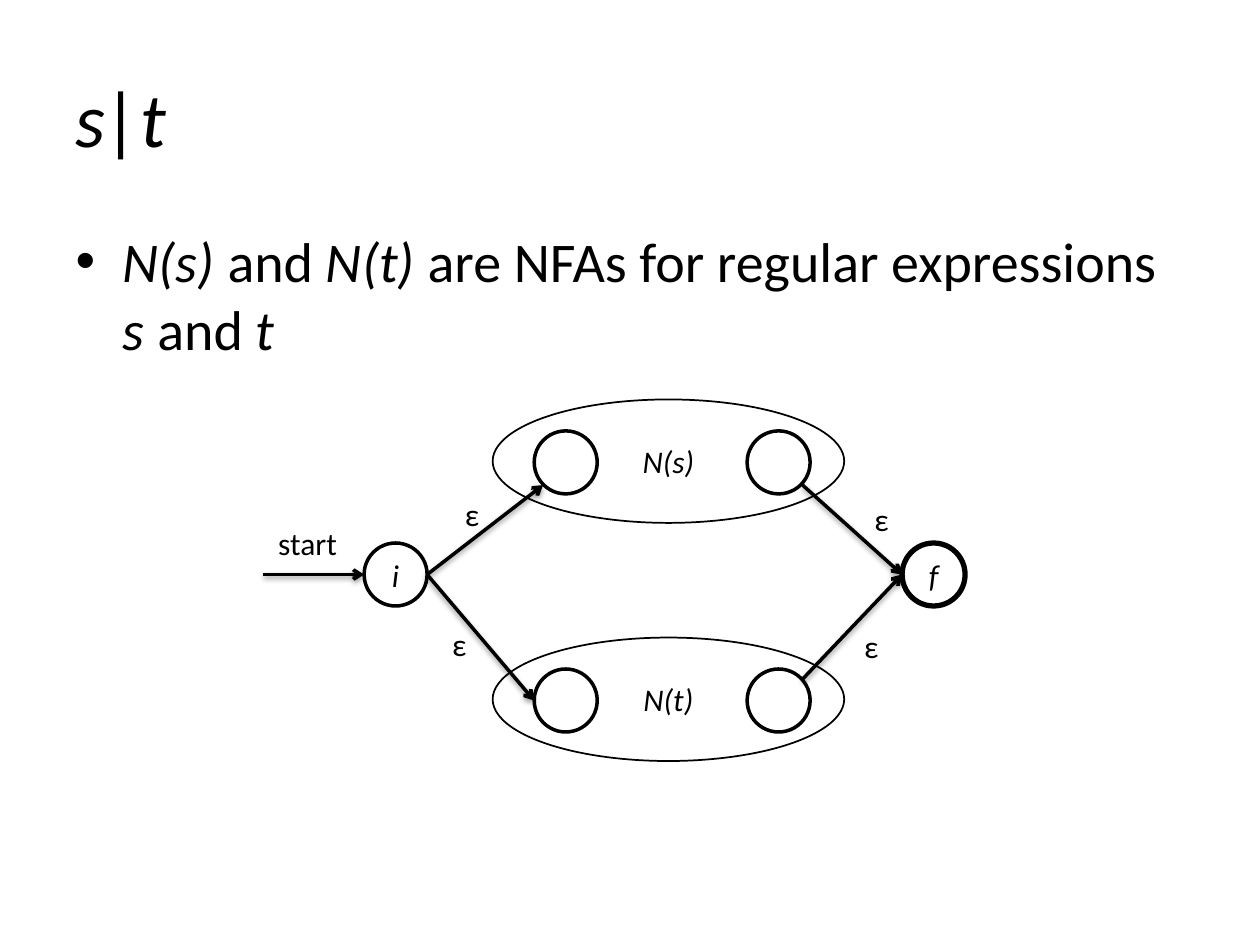
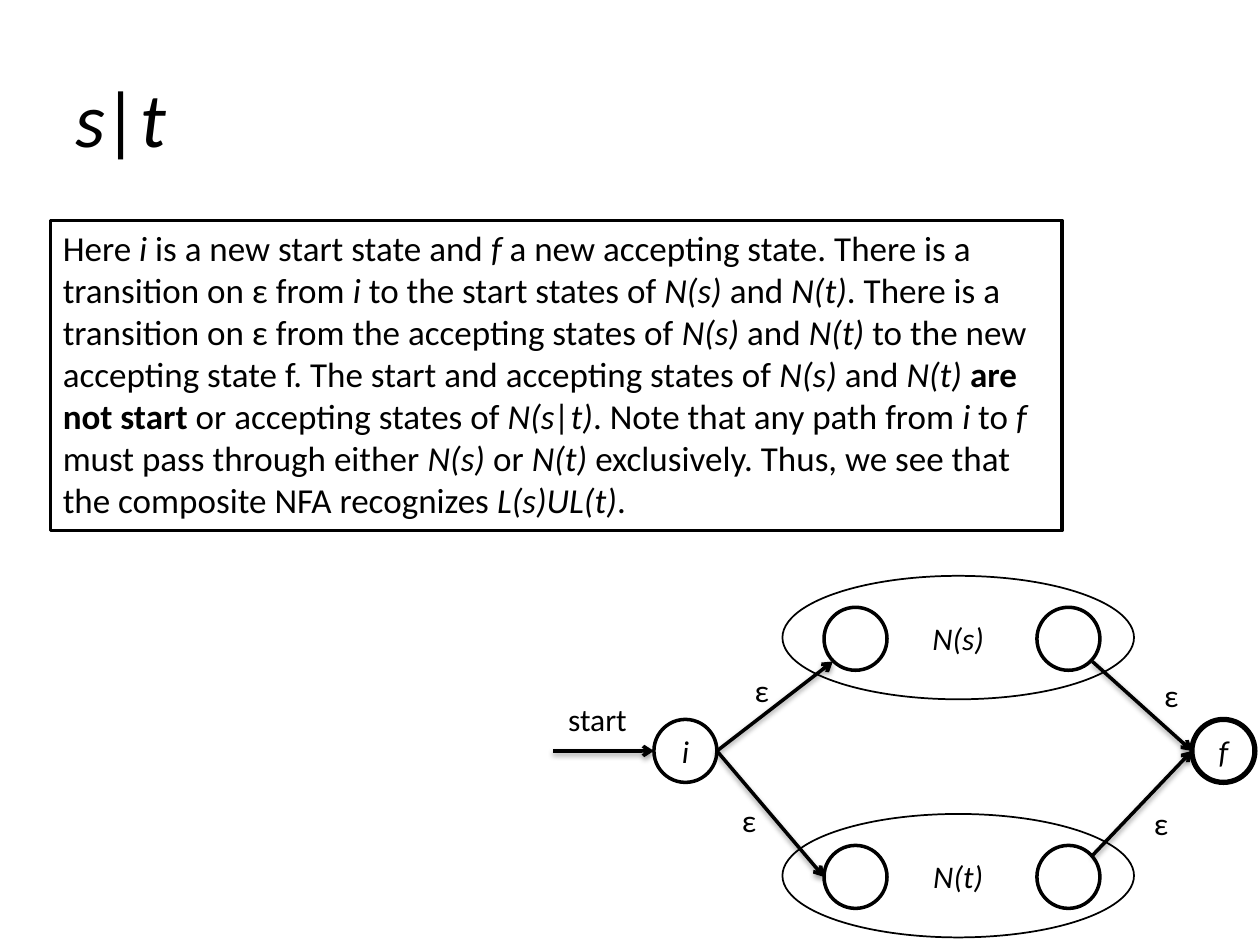
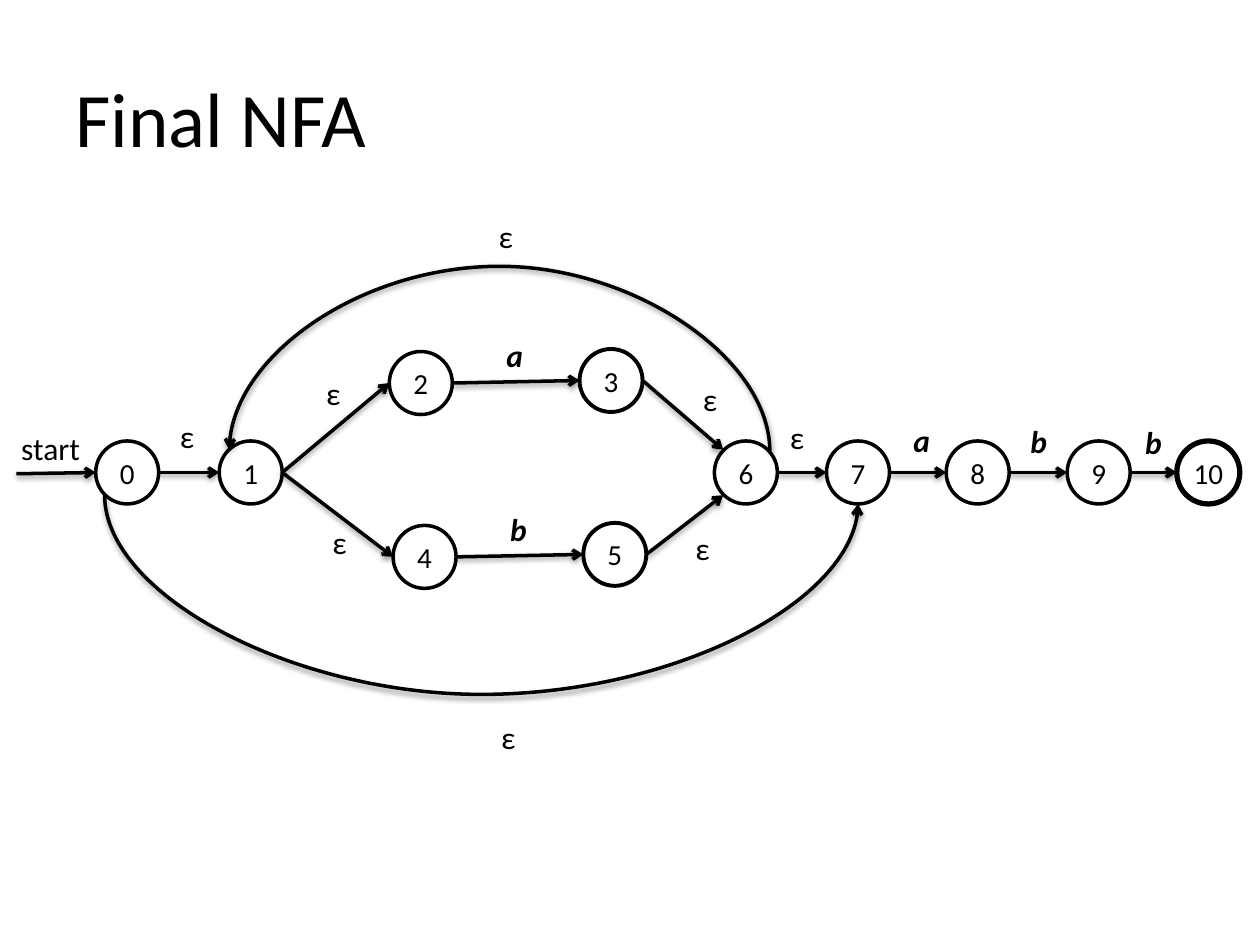
"""Build three slides on composing NFAs from regular expressions."""
from lxml import etree
from pptx import Presentation
from pptx.dml.color import RGBColor
from pptx.enum.shapes import MSO_CONNECTOR, MSO_SHAPE
from pptx.enum.text import MSO_ANCHOR, PP_ALIGN
from pptx.oxml.ns import qn
from pptx.util import Inches, Pt

OVAL, RECTANGLE = MSO_SHAPE.OVAL, MSO_SHAPE.RECTANGLE
STRAIGHT, CURVE = MSO_CONNECTOR.STRAIGHT, MSO_CONNECTOR.CURVE
TOP, MIDDLE = MSO_ANCHOR.TOP, MSO_ANCHOR.MIDDLE
LEFT, CENTER = PP_ALIGN.LEFT, PP_ALIGN.CENTER

FONT = "Calibri"
COLORS = {"ink": "000000", "paper": "FFFFFF"}
CONTENT_LAYOUT, TITLE_LAYOUT = 1, 5
NODE_SIZE = 0.5
SITES = {
    "left": (0, 0.25), "right": (0.5, 0.25),
    "upper left": (0.07, 0.07), "upper right": (0.44, 0.08),
    "lower left": (0.07, 0.43), "lower right": (0.44, 0.43),
}

UNION_TITLE = [("s|t", "i")]
UNION_BULLET = [
    ("N(s)", "i"), (" and ", ""), ("N(t)", "i"),
    (" are NFAs for regular expressions ", ""),
    ("s", "i"), (" and ", ""), ("t", "i"),
]
UNION_EXPLANATION = [
    ("Here", ""), (" i ", "i"), ("is a new start state and ", ""), ("f", "i"),
    (" a new accepting state. There is a transition on ε from ", ""),
    ("i ", "i"), ("to the start states of ", ""),
    ("N(s)", "i"), (" and ", ""), ("N(t)", "i"),
    (". There is a transition on ε from the accepting states of ", ""),
    ("N(s)", "i"), (" and ", ""), ("N(t)", "i"),
    (" to the new accepting state f. The start and accepting states of ", ""),
    ("N(s)", "i"), (" and ", ""), ("N(t) ", "i"), ("are not start", "b"),
    (" or accepting states of ", ""), ("N(s|t)", "i"),
    (". Note that any path from ", ""), ("i", "i"), (" to ", ""), ("f", "i"),
    (" must pass through either ", ""), ("N(s)", "i"), (" or ", ""), ("N(t)", "i"),
    (" exclusively. Thus, we see that the composite NFA recognizes ", ""),
    ("L(s)UL(t)", "i"), (".", ""),
]
UNION_NFA = {
    "nodes": {
        "i": (2.89, 4.31, 2, "i"), "f": (7.16, 4.31, 3, "f"),
        "s first": (4.24, 3.42, 2, ""), "s last": (5.93, 3.42, 2, ""),
        "t first": (4.24, 5.31, 2, ""), "t last": (5.93, 5.31, 2, ""),
    },
    "node style": (18, "i"),
    "machines": [("N(s)", 3.91, 3.17), ("N(t)", 3.91, 5.06)],
    "start": ((2.09, 4.56), (2.89, 4.56)),
    "arrows": [
        ("i", "right", "s first", "lower left"), ("i", "right", "t first", "left"),
        ("s last", "lower right", "f", "left"), ("t last", "upper right", "f", "left"),
    ],
    "loops": [],
    "labels": [
        ("start", "", 2.11, 4.11, 0.68), ("ε", "", 3.59, 3.88, 0.32),
        ("ε", "", 3.49, 4.91, 0.32), ("ε", "", 6.84, 3.92, 0.32),
        ("ε", "", 6.76, 4.93, 0.32),
    ],
}
FINAL_TITLE = [("Final NFA", "")]
FINAL_NFA = {
    "nodes": {
        "0": (0.76, 3.5, 2, "0"), "1": (1.74, 3.5, 2, "1"),
        "2": (3.09, 2.79, 2, "2"), "3": (4.6, 2.77, 2.25, "3"),
        "4": (3.12, 4.17, 2, "4"), "5": (4.63, 4.15, 2.25, "5"),
        "6": (5.67, 3.5, 2, "6"), "7": (6.56, 3.5, 2, "7"),
        "8": (7.51, 3.5, 2, "8"), "9": (8.47, 3.5, 2, "9"),
        "10": (9.34, 3.5, 3, "10"),
    },
    "node style": (16.6, ""),
    "machines": [],
    "start": ((0.13, 3.76), (0.76, 3.75)),
    "arrows": [
        ("0", "right", "1", "left"), ("1", "right", "2", "left"),
        ("1", "right", "4", "left"), ("2", "right", "3", "left"),
        ("4", "right", "5", "left"), ("3", "right", "6", "upper left"),
        ("5", "right", "6", "lower left"), ("6", "right", "7", "left"),
        ("7", "right", "8", "left"), ("8", "right", "9", "left"),
        ("9", "right", "10", "left"),
    ],
    "loops": [((0.83, 3.93), (6.81, 4), 5.51), ((6.11, 3.58), (1.82, 3.57), 2.09)],
    "labels": [
        ("start", "", 0.07, 3.36, 0.68), ("ε", "", 1.33, 3.26, 0.2),
        ("ε", "", 2.49, 2.92, 0.2), ("ε", "", 2.54, 4.1, 0.2),
        ("a", "bi", 3.92, 2.62, 0.34), ("b", "bi", 3.95, 4, 0.34),
        ("ε", "", 5.48, 2.97, 0.32), ("ε", "", 5.42, 4.15, 0.32),
        ("ε", "", 6.17, 3.27, 0.48), ("a", "bi", 7.15, 3.29, 0.39),
        ("b", "bi", 8.08, 3.3, 0.34), ("b", "bi", 8.99, 3.31, 0.4),
        ("ε", "", 3.88, 5.65, 0.33), ("ε", "", 3.86, 1.67, 0.32),
    ],
}


def color(name):
    return RGBColor.from_string(COLORS[name])


def write(frame, runs, size, align=LEFT, anchor=TOP, wrap=True):
    frame.word_wrap = wrap
    frame.vertical_anchor = anchor
    paragraph = frame.paragraphs[0]
    paragraph.alignment = align
    for text, style in runs:
        run = paragraph.add_run()
        run.text = text
        run.font.name = FONT
        run.font.size = Pt(size)
        run.font.bold = "b" in style
        run.font.italic = "i" in style
        run.font.color.rgb = color("ink")


def add_slide(deck, layout, title):
    slide = deck.slides.add_slide(deck.slide_layouts[layout])
    heading = slide.shapes.title
    heading.left, heading.top = Inches(0.5), Inches(0.3)
    heading.width, heading.height = Inches(9), Inches(1.25)
    write(heading.text_frame, title, 44, anchor=MIDDLE)
    return slide


def add_outline(slide, kind, box, weight, filled=True):
    outline = slide.shapes.add_shape(kind, *map(Inches, box))
    outline.shadow.inherit = False
    if filled:
        outline.fill.solid()
        outline.fill.fore_color.rgb = color("paper")
    else:
        outline.fill.background()
    outline.line.color.rgb = color("ink")
    outline.line.width = Pt(weight)
    return outline


def add_arrow(slide, start, end, kind=STRAIGHT):
    arrow = slide.shapes.add_connector(kind, *map(Inches, (*start, *end)))
    arrow.line.color.rgb = color("ink")
    arrow.line.width = Pt(2)
    properties = arrow._element.spPr
    etree.SubElement(properties.find(qn("a:ln")), qn("a:tailEnd"), type="arrow")
    effects = etree.SubElement(properties, qn("a:effectLst"))
    shadow = etree.SubElement(effects, qn("a:outerShdw"), blurRad="40000",
                              dist="20000", dir="5400000", rotWithShape="0")
    shade = etree.SubElement(shadow, qn("a:srgbClr"), val=COLORS["ink"])
    etree.SubElement(shade, qn("a:alpha"), val="38000")
    return arrow


def add_loop(slide, start, end, peak):
    """Draw a curve turned by 270 degrees whose bend reaches the height peak."""
    center_x, center_y = (start[0] + end[0]) / 2, (start[1] + end[1]) / 2
    unturned = [(center_x - y + center_y, center_y + x - center_x) for x, y in (start, end)]
    loop = add_arrow(slide, *unturned, kind=CURVE)
    properties = loop._element.spPr
    properties.find(qn("a:xfrm")).set("rot", "16200000")
    geometry = properties.find(qn("a:prstGeom"))
    adjustments = geometry.find(qn("a:avLst"))
    if adjustments is None:
        adjustments = etree.SubElement(geometry, qn("a:avLst"))
    bend = round((peak - start[1]) / (end[1] - start[1]) * 100000)
    etree.SubElement(adjustments, qn("a:gd"), name="adj1", fmla=f"val {bend}")


def draw_nfa(slide, nfa, dx=0, dy=0):
    def shift(point):
        return point[0] + dx, point[1] + dy

    def site(node, side):
        left, top = nfa["nodes"][node][:2]
        return shift((left + SITES[side][0], top + SITES[side][1]))

    size, style = nfa["node style"]
    for left, top, weight, text in nfa["nodes"].values():
        state = add_outline(slide, OVAL, (*shift((left, top)), NODE_SIZE, NODE_SIZE), weight)
        if text:
            write(state.text_frame, [(text, style)], size, CENTER, MIDDLE, wrap=False)
    for text, left, top in nfa["machines"]:
        machine = add_outline(slide, OVAL, (*shift((left, top)), 2.79, 0.98), 1, filled=False)
        write(machine.text_frame, [(text, "i")], 18, CENTER, MIDDLE)
    add_arrow(slide, *map(shift, nfa["start"]))
    for source, source_side, target, target_side in nfa["arrows"]:
        add_arrow(slide, site(source, source_side), site(target, target_side))
    for start, end, peak in nfa["loops"]:
        add_loop(slide, shift(start), shift(end), peak + dy)
    for text, label_style, left, top, width in nfa["labels"]:
        label = slide.shapes.add_textbox(*map(Inches, (*shift((left, top)), width, 0.4)))
        write(label.text_frame, [(text, label_style)], 18, wrap=len(text) == 1)


def main():
    deck = Presentation()
    deck.slide_width, deck.slide_height = Inches(10), Inches(7.5)

    union = add_slide(deck, CONTENT_LAYOUT, UNION_TITLE)
    body = union.placeholders[1]
    body.left, body.top = Inches(0.5), Inches(1.75)
    body.width, body.height = Inches(9), Inches(4.95)
    write(body.text_frame, UNION_BULLET, 32)
    draw_nfa(union, UNION_NFA)

    explained = add_slide(deck, TITLE_LAYOUT, UNION_TITLE)
    draw_nfa(explained, UNION_NFA, dx=2.3, dy=1.4)
    explanation = add_outline(explained, RECTANGLE, (0.4, 1.75, 8.03, 2.46), 2)
    write(explanation.text_frame, UNION_EXPLANATION, 20)

    final = add_slide(deck, TITLE_LAYOUT, FINAL_TITLE)
    draw_nfa(final, FINAL_NFA)
    deck.save("out.pptx")


if __name__ == "__main__":
    main()
